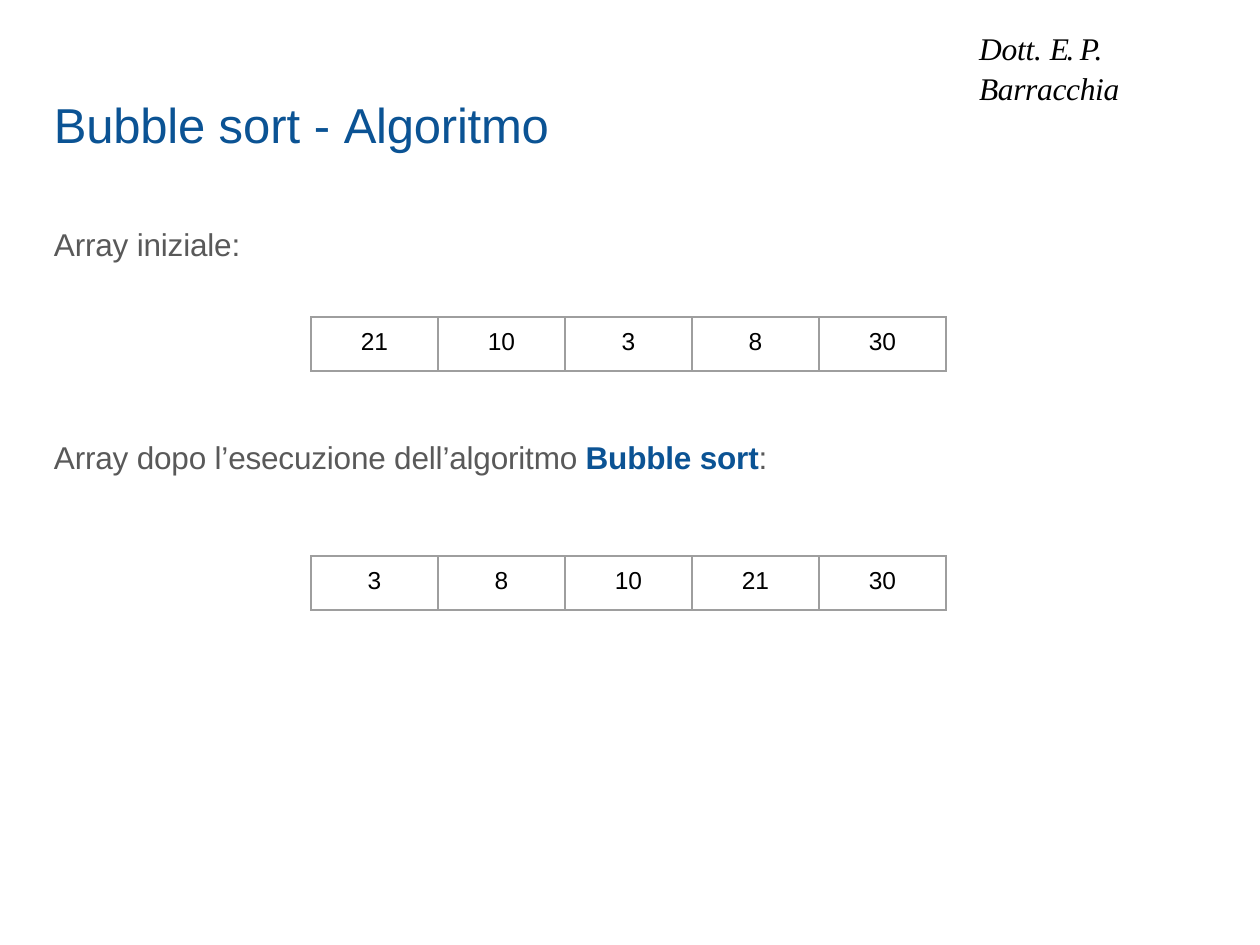
from pptx import Presentation
from pptx.dml.color import RGBColor
from pptx.enum.text import MSO_ANCHOR as Anchor, PP_ALIGN as Align
from pptx.oxml import parse_xml
from pptx.oxml.ns import nsdecls
from pptx.util import Emu, Pt

COLORS = {"blue": "0B5394", "gray": "595959", "black": "000000", "border": "9E9E9E"}
PX_PER_INCH = 126


def px(length):
    return Emu(round(length * 914400 / PX_PER_INCH))


class SlideBuilder:
    font_name = "Arial"
    cell_width, cell_height = 127, 54
    border_width = 0.75

    def __init__(self, presentation):
        self.slide = presentation.slides.add_slide(presentation.slide_layouts[6])

    def style_run(self, run, size, color, name=None, bold=False, italic=False, spacing=-0.1):
        font = run.font
        font.name = name or self.font_name
        font.size = Pt(size)
        font.bold = bold
        font.italic = italic
        font.color.rgb = RGBColor.from_string(COLORS[color])
        run._r.get_or_add_rPr().set("spc", str(round(spacing * 100)))

    def text(self, left, top, width, height, parts, size, indent=1, **style):
        frame = self.slide.shapes.add_textbox(px(left), px(top), px(width), px(height)).text_frame
        frame.word_wrap = True
        frame.margin_left = frame.margin_right = frame.margin_bottom = 0
        frame.margin_top = px(3)
        paragraph = frame.paragraphs[0]
        paragraph.line_spacing = 1.05
        paragraph._p.get_or_add_pPr().set("marL", str(px(indent)))
        for words, changes in parts:
            run = paragraph.add_run()
            run.text = words
            self.style_run(run, size, **{**style, **changes})

    def border(self, cell):
        properties = cell._tc.get_or_add_tcPr()
        for position, side in enumerate(("lnL", "lnR", "lnT", "lnB")):
            properties.insert(position, parse_xml(
                f'<a:{side} {nsdecls("a")} w="{Pt(self.border_width)}"><a:solidFill>'
                f'<a:srgbClr val="{COLORS["border"]}"/></a:solidFill></a:{side}>'))

    def array(self, left, top, values):
        table = self.slide.shapes.add_table(
            1, len(values), px(left), px(top),
            px(self.cell_width * len(values)), px(self.cell_height)).table
        table.first_row = table.horz_banding = False
        for column, cell, value in zip(table.columns, table.rows[0].cells, values):
            column.width = px(self.cell_width)
            cell.fill.background()
            cell.margin_left = cell.margin_right = cell.margin_bottom = 0
            cell.margin_top = px(11)
            cell.vertical_anchor = Anchor.TOP
            cell.text_frame.text = str(value)
            paragraph = cell.text_frame.paragraphs[0]
            paragraph.alignment = Align.CENTER
            self.style_run(paragraph.runs[0], 14, "black")
            self.border(cell)


def main():
    presentation = Presentation()
    presentation.slide_width, presentation.slide_height = px(1260), px(945)
    builder = SlideBuilder(presentation)
    numbers = [21, 10, 3, 8, 30]

    builder.text(48, 24, 1164, 42, [
        ("Dott. ", {}), ("E. ", {"spacing": -1.4}), ("P. ", {"spacing": -0.3}),
        ("Barracchia", {"spacing": -0.2}),
    ], 18, indent=931, color="black", name="Times New Roman", italic=True)
    builder.text(53, 89, 500, 62, [
        ("Bubble ", {}), ("sort - ", {"spacing": 0}), ("Algoritmo", {}),
    ], 28, color="blue")
    builder.text(53, 220, 193, 42, [("Array iniziale:", {})], 18, color="gray")
    builder.array(311, 317, numbers)
    builder.text(53, 433, 727, 42, [
        ("Array dopo l’esecuzione dell’algoritmo ", {}),
        ("Bubble sort", {"color": "blue", "bold": True}), (":", {}),
    ], 18, color="gray")
    builder.array(311, 556, sorted(numbers))
    presentation.save("out.pptx")


if __name__ == "__main__":
    main()
